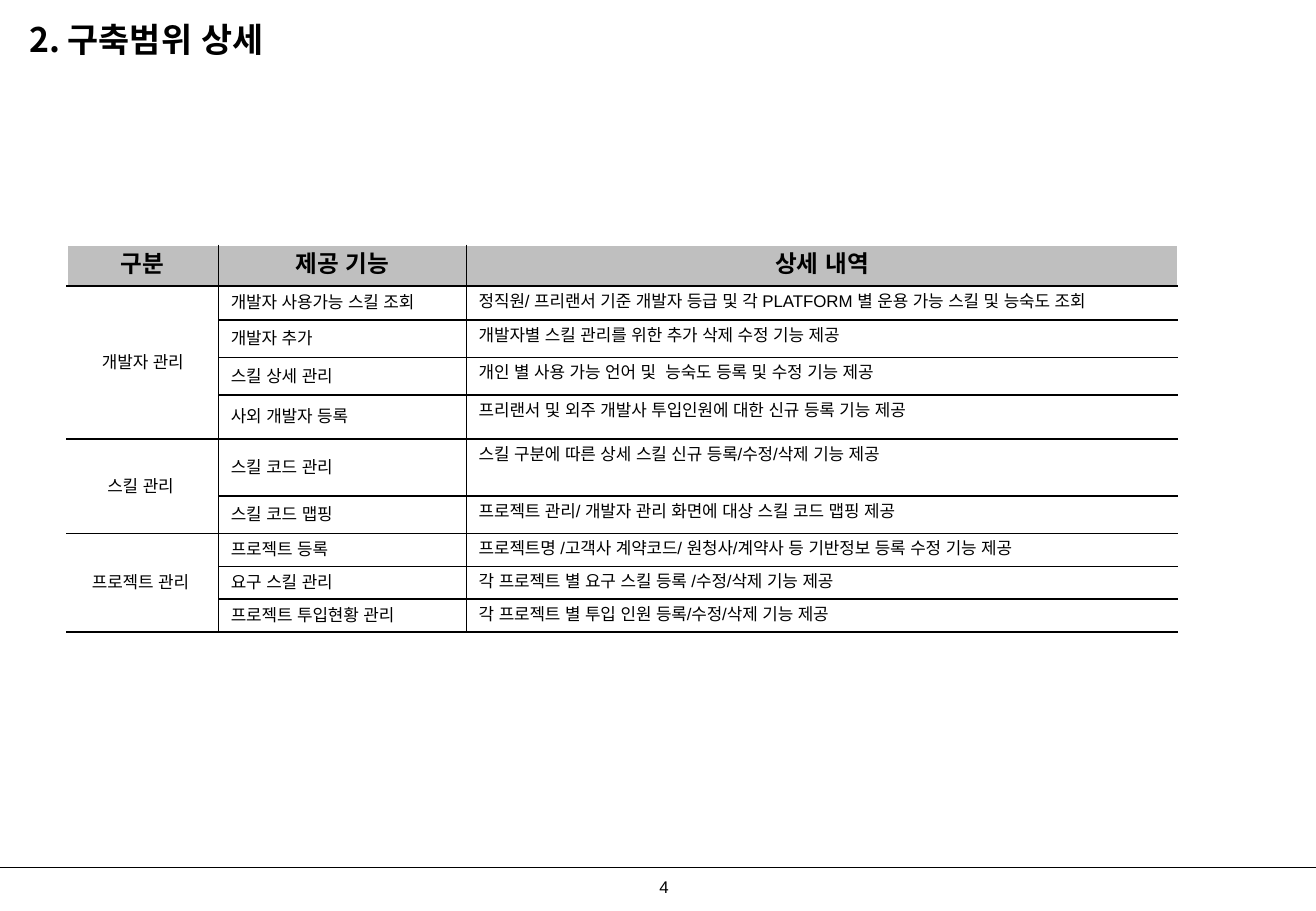
"""Build the slide that details the scope of the skill management system."""
from pptx import Presentation
from pptx.dml.color import RGBColor
from pptx.enum.lang import MSO_LANGUAGE_ID
from pptx.enum.shapes import MSO_CONNECTOR
from pptx.enum.text import MSO_ANCHOR, MSO_AUTO_SIZE, PP_ALIGN
from pptx.oxml.ns import qn
from pptx.util import Inches, Pt
from lxml.etree import SubElement

COLORS = {"ink": "000000", "paper": "FFFFFF", "header": "BFBFBF"}
TITLE_FONT = "Noto Sans CJK KR"
BODY_FONT = "Arial"

HEADINGS = ["구분", "제공 기능", "상세 내역"]
SCOPE = {
    "개발자 관리": [
        ("개발자 사용가능 스킬 조회",
         "정직원/ 프리랜서 기준 개발자 등급 및 각 PLATFORM 별 운용 가능 스킬 및 능숙도 조회"),
        ("개발자 추가", "개발자별 스킬 관리를 위한 추가 삭제 수정 기능 제공"),
        ("스킬 상세 관리", "개인 별 사용 가능 언어 및  능숙도 등록 및 수정 기능 제공"),
        ("사외 개발자 등록", "프리랜서 및 외주 개발사 투입인원에 대한 신규 등록 기능 제공"),
    ],
    "스킬 관리 ": [
        ("스킬 코드 관리", "스킬 구분에 따른 상세 스킬 신규 등록/수정/삭제 기능 제공"),
        ("스킬 코드 맵핑", "프로젝트 관리/ 개발자 관리 화면에 대상 스킬 코드 맵핑 제공"),
    ],
    "프로젝트 관리 ": [
        ("프로젝트 등록", "프로젝트명 /고객사 계약코드/ 원청사/계약사 등 기반정보 등록 수정 기능 제공"),
        ("요구 스킬 관리", "각 프로젝트 별 요구 스킬 등록 /수정/삭제 기능 제공"),
        ("프로젝트 투입현황 관리", "각 프로젝트 별 투입 인원 등록/수정/삭제 기능 제공"),
    ],
}
COLUMN_WIDTHS = [1.25, 2.04, 5.85]
ROW_HEIGHTS = [0.33, 0.28, 0.31, 0.31, 0.36, 0.47, 0.31, 0.27, 0.27, 0.27]


def write_text(frame, text, font_name, size, bold=False, align=PP_ALIGN.LEFT):
    """Fill a text frame with one formatted paragraph."""
    paragraph = frame.paragraphs[0]
    paragraph.alignment = align
    run = paragraph.add_run()
    run.text = text
    font_format = {"name": font_name, "size": Pt(size), "bold": bold,
                   "language_id": MSO_LANGUAGE_ID.KOREAN}
    for attribute, value in font_format.items():
        setattr(run.font, attribute, value)
    run.font.color.rgb = RGBColor.from_string(COLORS["ink"])
    SubElement(run.font._element, qn("a:ea"), typeface=font_name)


def add_title(slide):
    """Move the title placeholder to the top left and fill it."""
    title = slide.shapes.title
    placement = {"left": Inches(0.14), "top": Inches(0.13),
                 "width": Inches(5.07), "height": Inches(0.39)}
    for attribute, value in placement.items():
        setattr(title, attribute, value)
    frame_format = {"auto_size": MSO_AUTO_SIZE.NONE, "word_wrap": True,
                    "vertical_anchor": MSO_ANCHOR.MIDDLE}
    for attribute, value in frame_format.items():
        setattr(title.text_frame, attribute, value)
    write_text(title.text_frame, "2. 구축범위 상세", TITLE_FONT, 20, bold=True)


def add_footer(slide, page_number):
    """Draw the footer rule with the page number below it."""
    rule = slide.shapes.add_connector(
        MSO_CONNECTOR.STRAIGHT, 0, Inches(7.14), Inches(10.83), Inches(7.14))
    rule.line.width = Pt(0.75)
    rule.line.color.rgb = RGBColor.from_string(COLORS["ink"])
    SubElement(rule._element.spPr, qn("a:effectLst"))
    number = slide.shapes.add_textbox(
        Inches(5.28), Inches(7.17), Inches(0.27), Inches(0.27))
    number.width = Inches(0.27 + 0.1)
    number.text_frame.word_wrap = False
    write_text(number.text_frame, page_number, BODY_FONT, 10,
               align=PP_ALIGN.CENTER)


def set_borders(cell, row, column):
    """Rule a cell in ink, leaving the outer sides and the top open."""
    open_sides = {"a:lnL": column == 0,
                  "a:lnR": column == len(COLUMN_WIDTHS) - 1,
                  "a:lnT": row == 0, "a:lnB": False}
    properties = cell._tc.get_or_add_tcPr()
    for side, is_open in open_sides.items():
        border = SubElement(properties, qn(side), w=str(Pt(1)))
        fill = SubElement(border, qn("a:solidFill"))
        SubElement(fill, qn("a:srgbClr"),
                   val=COLORS["paper" if is_open else "ink"])


def format_cells(table):
    """Give every cell its borders and its fill."""
    for row in range(len(ROW_HEIGHTS)):
        for column in range(len(COLUMN_WIDTHS)):
            cell = table.cell(row, column)
            set_borders(cell, row, column)
            if row == 0:
                cell.fill.solid()
                cell.fill.fore_color.rgb = RGBColor.from_string(COLORS["header"])
            else:
                cell.fill.background()


def fill_scope(table):
    """Write the headings, the merged categories and their functions."""
    for column, heading in enumerate(HEADINGS):
        write_text(table.cell(0, column).text_frame, heading, BODY_FONT, 14,
                   bold=True, align=PP_ALIGN.CENTER)
    row = 1
    for category, functions in SCOPE.items():
        category_cell = table.cell(row, 0)
        category_cell.merge(table.cell(row + len(functions) - 1, 0))
        category_cell.vertical_anchor = MSO_ANCHOR.MIDDLE
        write_text(category_cell.text_frame, category, BODY_FONT, 10,
                   align=PP_ALIGN.CENTER)
        for function, detail in functions:
            function_cell = table.cell(row, 1)
            function_cell.vertical_anchor = MSO_ANCHOR.MIDDLE
            write_text(function_cell.text_frame, function, BODY_FONT, 10)
            write_text(table.cell(row, 2).text_frame, detail, BODY_FONT, 10)
            row += 1


def add_scope_table(slide):
    """Add the table of functions by category."""
    table = slide.shapes.add_table(
        len(ROW_HEIGHTS), len(COLUMN_WIDTHS), Inches(0.55), Inches(2.02),
        Inches(sum(COLUMN_WIDTHS)), Inches(sum(ROW_HEIGHTS))).table
    table.first_row = False
    table.horz_banding = False
    for column, width in zip(table.columns, COLUMN_WIDTHS):
        column.width = Inches(width)
    for row, height in zip(table.rows, ROW_HEIGHTS):
        row.height = Inches(height)
    format_cells(table)
    fill_scope(table)


def main():
    """Build and save the slide."""
    presentation = Presentation()
    presentation.slide_width = Inches(10.83)
    presentation.slide_height = Inches(7.5)
    slide = presentation.slides.add_slide(presentation.slide_layouts[5])
    add_footer(slide, "4")
    add_title(slide)
    add_scope_table(slide)
    presentation.save("out.pptx")


if __name__ == "__main__":
    main()
